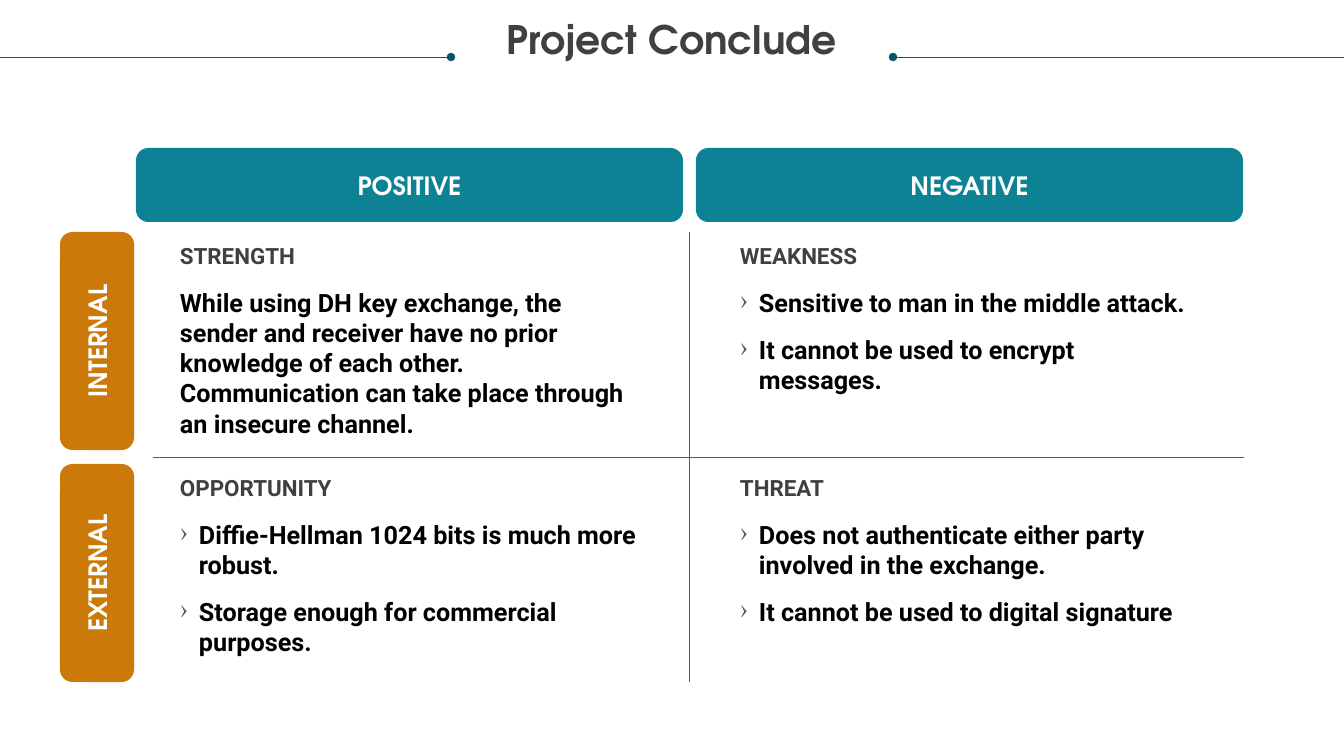
import dataclasses

import pptx
import pptx.dml.color
import pptx.enum.shapes
import pptx.enum.text
import pptx.oxml.ns
import pptx.util
from lxml import etree

EMU_PER_PIXEL = 914400 / 100.8
COLORS = {
    "teal": "0D8295", "deep_teal": "085764", "orange": "CB7A09", "white": "FFFFFF",
    "black": "000000", "heading": "404040", "rule": "585858",
}
TITLE_FONT, BODY_FONT = "TeX Gyre Adventor", "Roboto"
COLUMN_PITCH, ROW_PITCH = 560, 232
CENTER = pptx.enum.text.PP_ALIGN.CENTER


@dataclasses.dataclass
class Style:
    font: str
    size: int
    color: str
    centered: bool = False
    bulleted: bool = False
    line_spacing: float = 1.0


@dataclasses.dataclass
class Quadrant:
    column: int
    row: int
    heading: str
    points: list[str]
    height: int
    bulleted: bool = True


@dataclasses.dataclass
class Rule:
    start: tuple[int, int]
    end: tuple[int, int]
    color: str
    dot: str = ""


TITLE = Style(TITLE_FONT, 28, "heading", centered=True, line_spacing=0.9)
LABEL = Style(TITLE_FONT, 18, "white", centered=True)
HEADING = Style(BODY_FONT, 16, "heading")
BODY = Style(BODY_FONT, 18, "black")
BULLETS = dataclasses.replace(BODY, bulleted=True)

QUADRANTS = [
    Quadrant(0, 0, "STRENGTH", [
        "While using DH key exchange, the sender and receiver have no prior "
        "knowledge of each other.",
        "Communication can take place through an insecure channel.",
    ], 156, bulleted=False),
    Quadrant(1, 0, "WEAKNESS", [
        "Sensitive to man in the middle attack.",
        "It cannot be used to encrypt messages.",
    ], 78),
    Quadrant(0, 1, "OPPORTUNITY", [
        "Diffie-Hellman 1024 bits is much more robust.",
        "Storage enough for commercial purposes.",
    ], 139),
    Quadrant(1, 1, "THREAT", [
        "Does not authenticate either party involved in the exchange.",
        "It cannot be used to digital signature",
    ], 109),
]
RULES = [
    Rule((893, 57), (1344, 57), "deep_teal", dot="headEnd"),
    Rule((0, 57), (451, 57), "deep_teal", dot="tailEnd"),
    Rule((153, 457), (1244, 457), "rule"),
    Rule((689, 232), (689, 682), "rule"),
]


def px(pixels: float) -> pptx.util.Emu:
    return pptx.util.Emu(round(pixels * EMU_PER_PIXEL))


def rgb(name: str) -> pptx.dml.color.RGBColor:
    return pptx.dml.color.RGBColor.from_string(COLORS[name])


def add_xml(parent, tag: str, **attributes: str):
    return etree.SubElement(parent, pptx.oxml.ns.qn(tag), **attributes)


def add_bullet(para) -> None:
    para.space_before = pptx.util.Pt(12)
    properties = para._p.get_or_add_pPr()
    properties.set("marL", str(px(19)))
    properties.set("indent", str(-px(19)))
    add_xml(add_xml(properties, "a:buClr"), "a:srgbClr", val=COLORS["rule"])
    add_xml(properties, "a:buChar", char="›")


def write(frame, lines: list[str], style: Style) -> None:
    frame.word_wrap = True
    frame.text = "\n".join(lines)
    for para in frame.paragraphs:
        para.line_spacing = style.line_spacing
        if style.centered:
            para.alignment = CENTER
        if style.bulleted:
            add_bullet(para)
        for span in para.runs:
            span.font.name = style.font
            span.font.size = pptx.util.Pt(style.size)
            span.font.bold = True
            span.font.color.rgb = rgb(style.color)


def add_text(page, left: int, top: int, width: int, height: int,
             lines: list[str], style: Style) -> None:
    box = page.shapes.add_textbox(px(left), px(top), px(width), px(height))
    frame = box.text_frame
    frame.margin_left = frame.margin_right = frame.margin_top = frame.margin_bottom = 0
    write(frame, lines, style)


def add_label(page, left: int, top: int, width: int, text: str,
              fill: str, rotation: int = 0) -> None:
    box = page.shapes.add_shape(pptx.enum.shapes.MSO_SHAPE.ROUNDED_RECTANGLE,
                                px(left), px(top), px(width), px(74))
    box.shadow.inherit = False
    box.fill.solid()
    box.fill.fore_color.rgb = rgb(fill)
    box.line.fill.background()
    box.rotation = rotation
    box.text_frame.vertical_anchor = pptx.enum.text.MSO_ANCHOR.MIDDLE
    write(box.text_frame, [text], LABEL)


def add_rule(page, rule: Rule) -> None:
    line = page.shapes.add_connector(pptx.enum.shapes.MSO_CONNECTOR.STRAIGHT,
                                     *map(px, rule.start + rule.end))
    line.line.color.rgb = rgb(rule.color)
    line.line.width = pptx.util.Pt(0.5)
    if rule.dot:
        add_xml(line.line._get_or_add_ln(), f"a:{rule.dot}", type="oval")
    add_xml(line._element.spPr, "a:effectLst")


def add_quadrant(page, quadrant: Quadrant) -> None:
    left = 180 + quadrant.column * COLUMN_PITCH
    drop = quadrant.row * ROW_PITCH
    add_text(page, left, 242 + drop, 459, 27, [quadrant.heading], HEADING)
    add_text(page, left, 287 + drop, 459, quadrant.height, quadrant.points,
             BULLETS if quadrant.bulleted else BODY)


deck = pptx.Presentation()
deck.slide_width, deck.slide_height = px(1344), px(756)
page = deck.slides.add_slide(deck.slide_layouts[6])

# Title
add_text(page, 25, 21, 1293, 74, ["Project Conclude"], TITLE)

# Column and row labels
for column, text in enumerate(["POSITIVE", "NEGATIVE"]):
    add_label(page, 136 + column * COLUMN_PITCH, 148, 547, text, "teal")
for row, text in enumerate(["INTERNAL", "EXTERNAL"]):
    add_label(page, -12, 304 + row * ROW_PITCH, 218, text, "orange", rotation=270)

# Title lines and grid cross
for rule in RULES:
    add_rule(page, rule)

# Quadrant texts
for quadrant in QUADRANTS:
    add_quadrant(page, quadrant)

deck.save("out.pptx")
